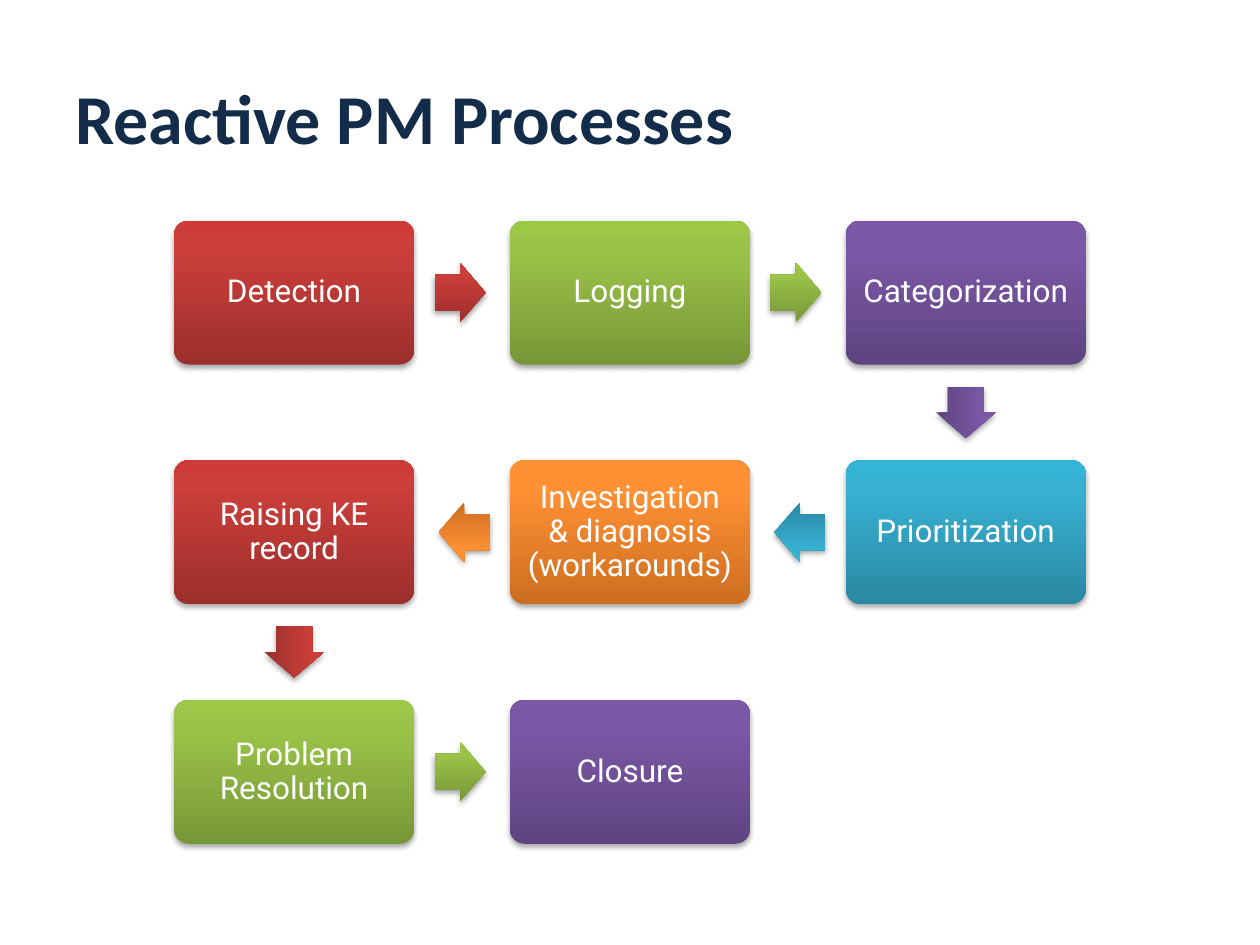
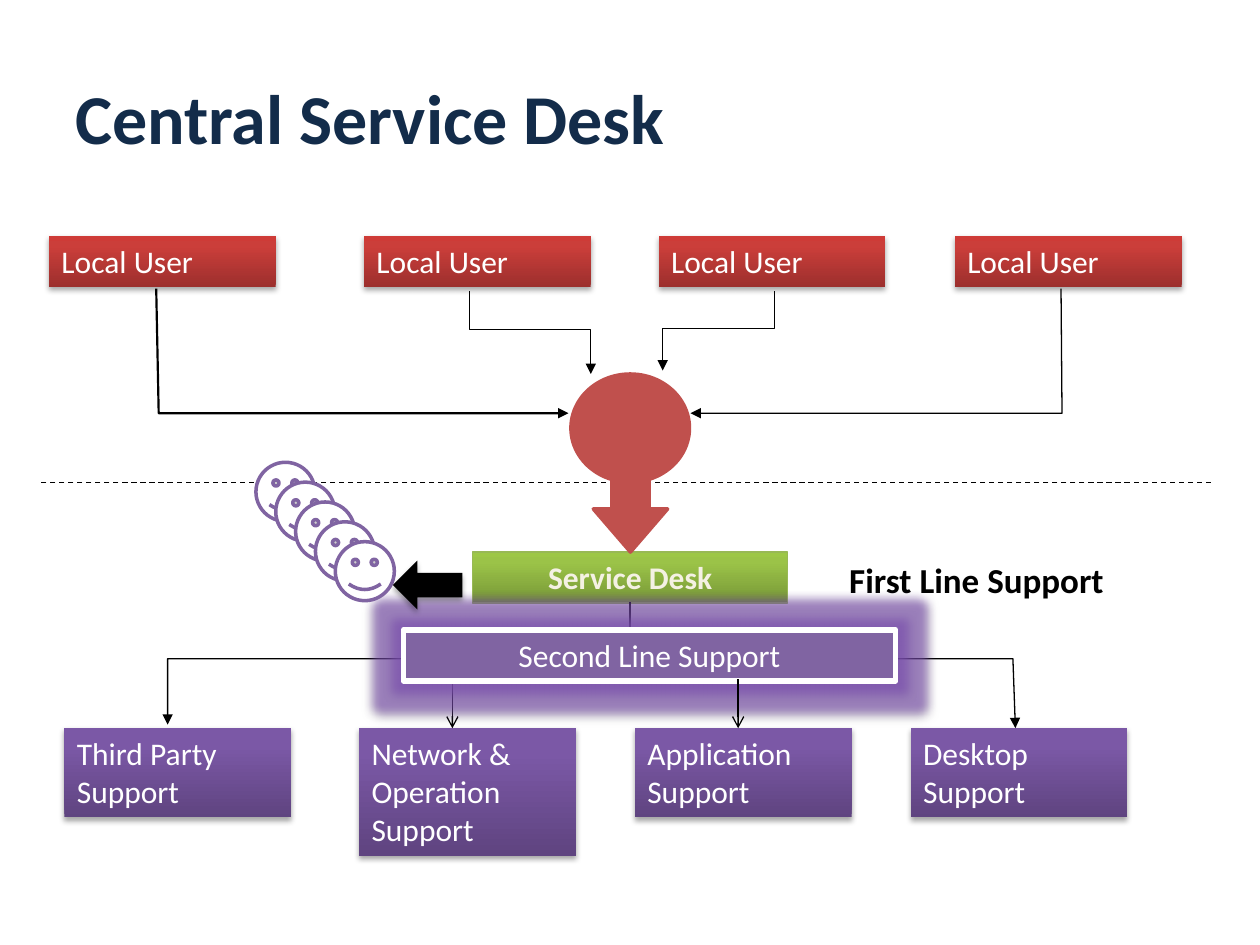
from copy import deepcopy

from lxml import etree
from pptx import Presentation
from pptx import util as u
from pptx.dml.color import RGBColor
from pptx.enum import dml, shapes, text
from pptx.oxml import ns

# ---- Content ----
COLORS = {"title": "132C4A", "black": "000000", "white": "FFFFFF",
          "hub": "C0504D", "second": "8064A2", "glow": "7B4EB0",
          "desk edge": "98B955", "desk text": "F4F1E3"}
# Stops run from the bottom edge (0) over 80 % to the top edge (100 %).
GRADIENTS = {"red": ("9C2F2D", "CB3E3A", "CE3B37"),
             "green": ("779737", "9BC348", "9DC746"),
             "purple": ("5F4480", "7B58A6", "7C57A8"),
             "teal": ("2A88A2", "37B1D2", "34B4D6"),
             "orange": ("CC6E20", "FF9034", "FF9136")}

# Steps in reading order of the flow: label, gradient, (column, row)
STEPS = [("Detection", "red", (0, 0)),
         ("Logging", "green", (1, 0)),
         ("Categorization", "purple", (2, 0)),
         ("Prioritization", "teal", (2, 1)),
         ("Investigation & diagnosis (workarounds)", "orange", (1, 1)),
         ("Raising KE record", "red", (0, 1)),
         ("Problem Resolution", "green", (0, 2)),
         ("Closure", "purple", (1, 2))]

USER_LEFTS = [0.99, 7.34, 13.28, 19.25]
# Support teams: label, left, width, height
TEAMS = [("Third Party Support", 1.3, 4.57, 1.8),
         ("Network & Operation Support", 7.24, 4.37, 2.57),
         ("Application Support", 12.8, 4.37, 1.8),
         ("Desktop Support", 18.36, 4.37, 1.8)]
# Bent routes: points, line width, ends that carry an arrowhead
ROUTES = [([(3.15, 5.82), (3.2, 8.33), (11.46, 8.33)], 1.25, ["tail"]),
          ([(21.39, 5.82), (21.41, 8.33), (13.92, 8.33)], 0.75, ["tail"]),
          ([(9.47, 5.87), (9.47, 6.65), (11.91, 6.65), (11.91, 7.54)],
           0.75, ["tail"]),
          ([(15.62, 5.87), (15.62, 6.63), (13.36, 6.63), (13.36, 7.47)],
           0.75, ["tail"]),
          ([(3.38, 14.61), (3.38, 13.28), (20.42, 13.28), (20.47, 14.68)],
           0.75, ["head", "tail"])]

TITLE = {"size": 40, "name": "Calibri", "bold": True, "color": "title"}
STEP = {"size": 18, "name": "Roboto", "color": "white"}
LABEL = {"size": 18, "name": "Calibri", "color": "white"}
DESK = {"size": 18, "name": "Calibri", "bold": True, "color": "desk text"}
FIRST_LINE = {"size": 20, "name": "Calibri", "bold": True, "color": "black"}

SHAPE = shapes.MSO_SHAPE
CENTER = text.PP_ALIGN.CENTER
MIDDLE = text.MSO_ANCHOR.MIDDLE
TOP = text.MSO_ANCHOR.TOP


# ---- Helpers ----
def rgb(name):
    return RGBColor.from_string(COLORS[name])


def write(shape, words, style, align=text.PP_ALIGN.LEFT, anchor=TOP,
          wrap=True, spacing=None):
    frame = shape.text_frame
    frame.word_wrap = wrap
    frame.vertical_anchor = anchor
    paragraph = frame.paragraphs[0]
    paragraph.alignment = align
    paragraph.line_spacing = spacing
    run = paragraph.add_run()
    run.text = words
    for key, value in style.items():
        if key == "color":
            run.font.color.rgb = rgb(value)
        else:
            setattr(run.font, key, u.Pt(value) if key == "size" else value)
    return frame


def fill_gradient(shape, name):
    shape.fill.gradient()
    shape.fill.gradient_angle = 90
    stops = shape._element.spPr.find(".//" + ns.qn("a:gsLst"))
    stops.append(deepcopy(stops[-1]))
    for stop, place, color in zip(shape.fill.gradient_stops, (0, 0.8, 1),
                                  GRADIENTS[name]):
        stop.position = place
        stop.color.rgb = RGBColor.from_string(color)


def add_effect(shape, kind, color, alpha, **lengths):
    effects = shape._element.spPr.find(ns.qn("a:effectLst"))
    effect = etree.SubElement(effects, ns.qn("a:" + kind),
                              {key: str(value) for key, value in lengths.items()})
    tint = etree.SubElement(effect, ns.qn("a:srgbClr"), val=COLORS[color])
    etree.SubElement(tint, ns.qn("a:alpha"), val=str(alpha * 1000))


def add_shadow(shape):
    add_effect(shape, "outerShdw", "black", 35, blurRad=40000, dist=23000,
               dir=5400000, rotWithShape=0)


def add_block(slide, kind, box, fill, edge=None, edge_width=0.75, shadow=False):
    """Add a preset shape; fill names a gradient or a plain colour."""
    shape = slide.shapes.add_shape(kind, *map(u.Cm, box))
    shape.shadow.inherit = False
    if fill in GRADIENTS:
        fill_gradient(shape, fill)
    else:
        shape.fill.solid()
        shape.fill.fore_color.rgb = rgb(fill)
    if edge:
        shape.line.color.rgb = rgb(edge)
        shape.line.width = u.Pt(edge_width)
    else:
        shape.line.fill.background()
    if shadow:
        add_shadow(shape)
    return shape


def draw_line(line, width, ends=(), head="triangle"):
    line.color.rgb = rgb("black")
    line.width = u.Pt(width)
    for end in ends:
        etree.SubElement(line._get_or_add_ln(), ns.qn(f"a:{end}End"), type=head)


def add_straight(slide, start, end, ends=(), dash=None):
    link = slide.shapes.add_connector(shapes.MSO_CONNECTOR.STRAIGHT,
                                      *map(u.Cm, start + end))
    etree.SubElement(link._element.spPr, ns.qn("a:effectLst"))
    if dash:
        link.line.dash_style = dash
    draw_line(link.line, 0.75, ends, "arrow")


def add_route(slide, points, width, ends):
    first, *rest = [tuple(map(u.Cm, point)) for point in points]
    builder = slide.shapes.build_freeform(*first)
    builder.add_line_segments(rest, close=False)
    route = builder.convert_to_shape()
    route.shadow.inherit = False
    route.fill.background()
    draw_line(route.line, width, ends)


def add_titled_slide(deck, title):
    slide = deck.slides.add_slide(deck.slide_layouts[6])
    box = slide.shapes.add_textbox(*map(u.Cm, (1.27, 0.76, 22.86, 3.18)))
    write(box, title, TITLE, anchor=MIDDLE)
    return slide


# ---- Slides ----
def build_processes(deck):
    slide = add_titled_slide(deck, "Reactive PM Processes")
    left, top, width, height = 3.51, 4.45, 4.84, 2.9
    pitch_x, pitch_y = 6.77, 4.83
    arrow_width, arrow_height, set_back = 1.03, 1.2, 0.04

    for index, (label, color, (column, row)) in enumerate(STEPS):
        x, y = left + column * pitch_x, top + row * pitch_y
        step = add_block(slide, SHAPE.ROUNDED_RECTANGLE, (x, y, width, height),
                         color, shadow=True)
        step.adjustments[0] = 0.1
        frame = write(step, label, STEP, CENTER, MIDDLE, spacing=0.9)
        for side in ("left", "right", "top", "bottom"):
            setattr(frame, "margin_" + side, u.Cm(0.27))

        if index + 1 == len(STEPS):
            break
        next_column, next_row = STEPS[index + 1][2]
        across, down = next_column - column, next_row - row
        center_x = x + width / 2 + across * (pitch_x / 2 - set_back)
        center_y = y + height / 2 + down * pitch_y / 2
        arrow = add_block(slide, SHAPE.RIGHT_ARROW,
                          (center_x - arrow_width / 2, center_y - arrow_height / 2,
                           arrow_width, arrow_height), color, shadow=True)
        arrow.adjustments[0] = 0.6
        arrow.rotation = 90 if down else 90 * (1 - across)


def build_service_desk(deck):
    slide = add_titled_slide(deck, "Central Service Desk")
    for left in USER_LEFTS:
        user = add_block(slide, SHAPE.RECTANGLE, (left, 4.76, 4.57, 1.03),
                         "red", shadow=True)
        write(user, "Local User", LABEL)
    desk = add_block(slide, SHAPE.RECTANGLE, (9.53, 11.13, 6.35, 1.03),
                     "green", "desk edge")
    write(desk, "Service Desk", DESK, CENTER)
    for label, left, width, height in TEAMS:
        team = add_block(slide, SHAPE.RECTANGLE, (left, 14.68, width, height),
                         "purple", shadow=True)
        write(team, label, LABEL)
    first_line = slide.shapes.add_textbox(*map(u.Cm, (16.87, 11.13, 5.69, 1.12)))
    write(first_line, "First Line Support", FIRST_LINE, wrap=False)

    for points, width, ends in ROUTES:
        add_route(slide, points, width, ends)
    add_straight(slide, (12.7, 12.14), (12.7, 13.11))
    add_straight(slide, (9.12, 13.69), (9.12, 14.68), ["tail"])
    add_straight(slide, (24.41, 9.73), (0.79, 9.73), dash=dml.MSO_LINE.DASH)
    second_line = add_block(slide, SHAPE.RECTANGLE, (8.13, 12.7, 9.93, 1.03),
                            "second", "white", 3)
    add_effect(second_line, "glow", "glow", 60, rad=139700)
    add_shadow(second_line)
    write(second_line, "Second Line Support", LABEL, CENTER)
    add_straight(slide, (14.88, 13.69), (14.88, 14.68), ["tail"])

    add_block(slide, SHAPE.OVAL, (11.51, 7.54, 2.39, 2.18), "hub", "hub", 2)
    hub_arrow = add_block(slide, SHAPE.DOWN_ARROW, (11.96, 9.53, 1.5, 1.6),
                          "hub", "hub", 2)
    hub_arrow.adjustments[1] = 0.58
    for place in range(5):
        offset = 0.4 * place
        add_block(slide, SHAPE.SMILEY_FACE,
                  (5.16 + offset, 9.32 + offset, 1.19, 1.19), "white", "second", 2)
    add_block(slide, SHAPE.LEFT_ARROW, (7.92, 11.3, 1.4, 0.99), "black",
              shadow=True)


def main():
    deck = Presentation()
    deck.slide_width, deck.slide_height = u.Cm(25.4), u.Cm(19.05)
    build_processes(deck)
    build_service_desk(deck)
    deck.save("out.pptx")


if __name__ == "__main__":
    main()
